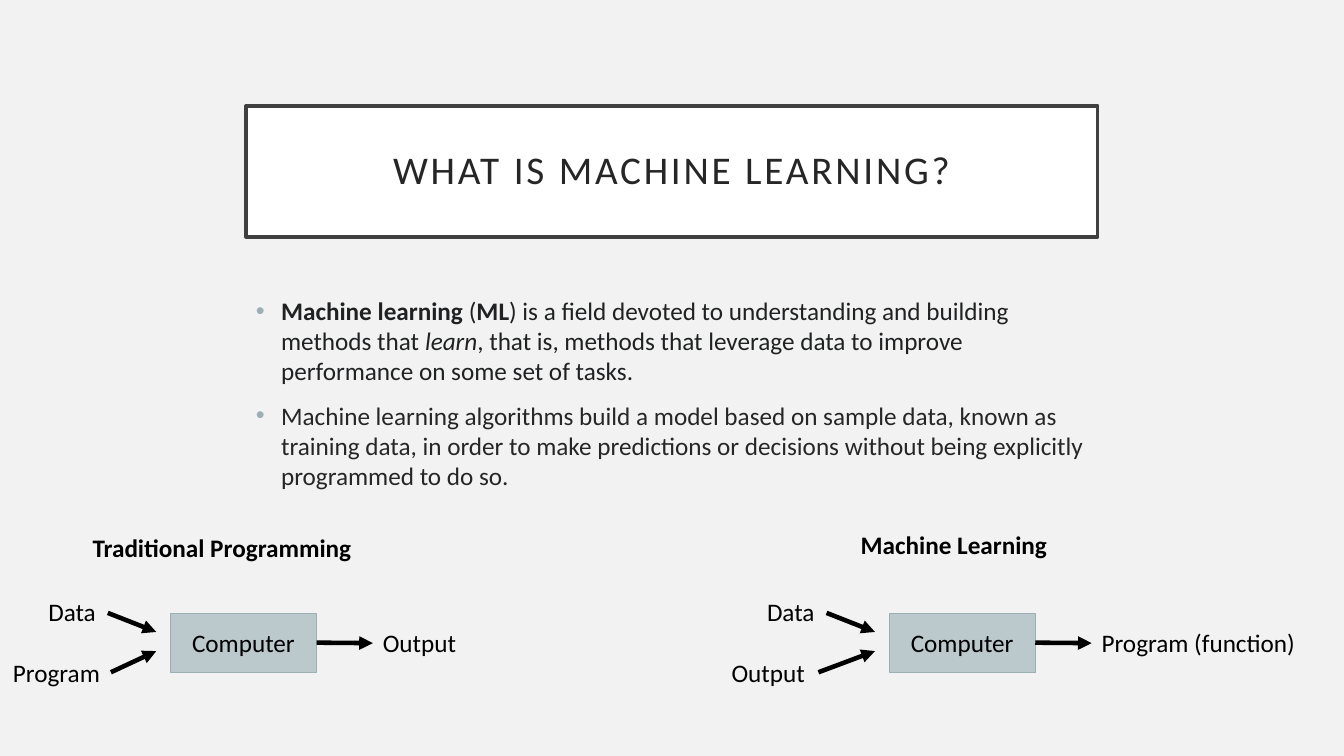
from lxml import etree
from pptx import Presentation
from pptx.dml.color import RGBColor
from pptx.enum import shapes, text
from pptx.oxml import ns
from pptx.util import Pt

FONT = "Calibri"
BLACK = "000000"


def rgb(value):
    return RGBColor.from_string(value)


def add_label(caption, left, top, width, bold=False):
    label = slide.shapes.add_textbox(Pt(left), Pt(top), Pt(width), Pt(29))
    frame = label.text_frame
    frame.text = caption
    frame.word_wrap = False
    frame.auto_size = text.MSO_AUTO_SIZE.SHAPE_TO_FIT_TEXT
    font = frame.paragraphs[0].runs[0].font
    font.name, font.size, font.bold = FONT, Pt(18), bold
    font.color.rgb = rgb(BLACK)


presentation = Presentation()
presentation.slide_width, presentation.slide_height = Pt(960), Pt(540)
slide = presentation.slides.add_slide(presentation.slide_layouts[6])
slide.background.fill.solid()
slide.background.fill.fore_color.rgb = rgb("F2F2F2")

# Title
title = slide.shapes.add_shape(
    shapes.MSO_SHAPE.RECTANGLE, Pt(175.7), Pt(75.6), Pt(608.4), Pt(93.6))
title.shadow.inherit = False
title.fill.solid()
title.fill.fore_color.rgb = rgb("FFFFFF")
title.line.color.rgb = rgb("404040")
title.line.width = Pt(2.5)
title.text_frame.text = "WHAT IS MACHINE LEARNING?"
title.text_frame.vertical_anchor = text.MSO_ANCHOR.MIDDLE
paragraph = title.text_frame.paragraphs[0]
paragraph.alignment = text.PP_ALIGN.CENTER
paragraph.line_spacing = 0.9
font = paragraph.runs[0].font
font.name, font.size = FONT, Pt(28)
font.color.rgb = rgb("262626")
paragraph.runs[0]._r.get_or_add_rPr().set("spc", "200")

# Definition bullets: (text, style) runs with each paragraph's colour
definitions = [
    ("202122", [
        ("Machine learning", "bold"), (" (", ""), ("ML", "bold"),
        (") is a field devoted to understanding and building methods that ", ""),
        ("learn", "italic"),
        (", that is, methods that leverage data to improve performance "
         "on some set of tasks.", "")]),
    ("262626", [
        ("Machine learning algorithms build a model based on sample data, "
         "known as training data, in order to make predictions or decisions "
         "without being explicitly programmed to do so.", "")]),
]
body = slide.shapes.add_textbox(Pt(175.7), Pt(207.4), Pt(608.4), Pt(244))
body.text_frame.word_wrap = True
for index, (color, runs) in enumerate(definitions):
    if index == 0:
        paragraph = body.text_frame.paragraphs[0]
    else:
        paragraph = body.text_frame.add_paragraph()
        paragraph.space_before = Pt(10)
    properties = paragraph._p.get_or_add_pPr()
    properties.set("marL", str(Pt(18)))
    properties.set("indent", str(Pt(-18)))
    bullet_color = etree.SubElement(properties, ns.qn("a:buClr"))
    etree.SubElement(bullet_color, ns.qn("a:srgbClr"), val="9BAFB5")
    etree.SubElement(properties, ns.qn("a:buFont"), typeface="Arial")
    etree.SubElement(properties, ns.qn("a:buChar"), char="•")
    for words, style in runs:
        run = paragraph.add_run()
        run.text = words
        run.font.name, run.font.size = FONT, Pt(18)
        run.font.bold = style == "bold"
        run.font.italic = style == "italic"
        run.font.color.rgb = rgb(color)

# Two diagrams: origin, heading (text, left, top, width),
# second input (text, left, width, arrow start), result (text, width)
diagrams = [
    (0, ("Traditional Programming", 59, 376.6, 229.7),
     ("Program", 2.2, 77, 79.2), ("Output", 69.1)),
    (513.4, ("Machine Learning", 607.7, 374.4, 165.6),
     ("Output", 515.5, 69.1, 584.6), ("Program (function)", 154.1)),
]
for origin, heading, second_input, result in diagrams:
    add_label(*heading, bold=True)
    input_name, input_left, input_width, arrow_left = second_input
    add_label("Data", origin + 27.4, 422.6, 49.7)
    add_label(input_name, input_left, 465.8, input_width)
    add_label(result[0], origin + 266.4, 444.2, result[1])

    # Computer box
    computer = slide.shapes.add_shape(
        shapes.MSO_SHAPE.RECTANGLE,
        Pt(origin + 121.7), Pt(437.8), Pt(104.4), Pt(42.5))
    computer.shadow.inherit = False
    computer.fill.gradient()
    computer.fill.gradient_angle = 270
    for stop, color in zip(computer.fill.gradient_stops, ("BBC8CC", "B8C6CB")):
        stop.color.rgb = rgb(color)
    computer.line.color.rgb = rgb("9BAFB5")
    computer.line.width = Pt(0.5)
    computer.text_frame.text = "Computer"
    computer.text_frame.vertical_anchor = text.MSO_ANCHOR.MIDDLE
    paragraph = computer.text_frame.paragraphs[0]
    paragraph.alignment = text.PP_ALIGN.CENTER
    font = paragraph.runs[0].font
    font.name, font.size = FONT, Pt(18)
    font.color.rgb = rgb(BLACK)

    # Arrows: two inputs, then the result
    arrows = [
        (origin + 77, 437.8, origin + 111.6, 451.4),
        (arrow_left, 480.2, origin + 111.6, 465.1),
        (origin + 226.1, 459, origin + 266.4, 459.4),
    ]
    for ends in arrows:
        arrow = slide.shapes.add_connector(
            shapes.MSO_CONNECTOR.STRAIGHT, *[Pt(value) for value in ends])
        arrow.line.color.rgb = rgb(BLACK)
        arrow.line.width = Pt(3.25)
        etree.SubElement(arrow.line._get_or_add_ln(), ns.qn("a:tailEnd"),
                         type="triangle")
        etree.SubElement(arrow._element.spPr, ns.qn("a:effectLst"))
    arrow.begin_connect(computer, 3)

presentation.save("out.pptx")
